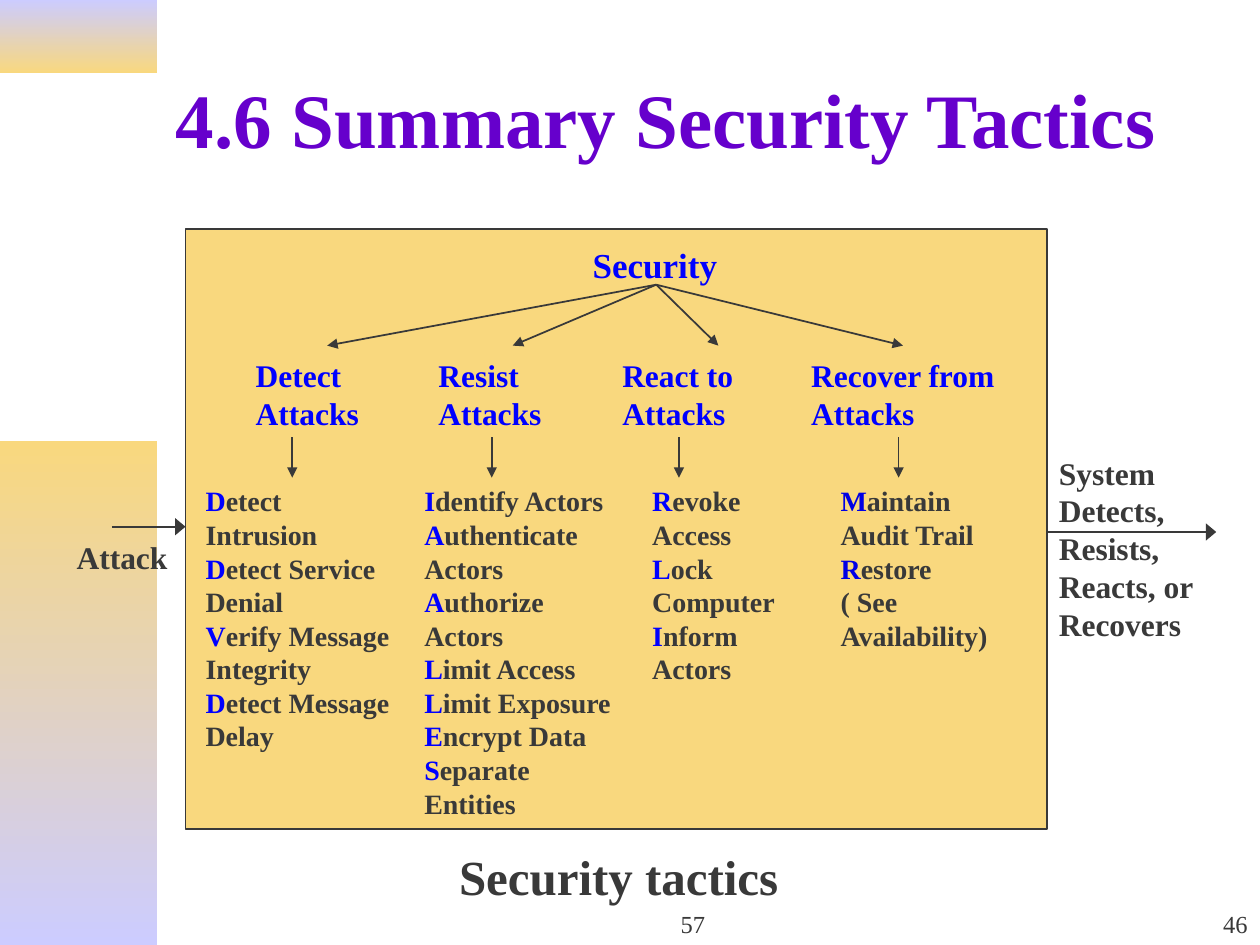
from lxml.etree import SubElement
from pptx import Presentation
from pptx.dml.color import RGBColor
from pptx.enum.shapes import MSO_CONNECTOR as Connector, MSO_SHAPE as Shape
from pptx.enum.text import MSO_ANCHOR as Anchor, PP_ALIGN as Align
from pptx.oxml.ns import qn
from pptx.util import Pt

COLORS = {
    "title": "6600CC",
    "text": "393939",
    "blue": "0000FF",
    "dark_blue": "0000E5",
    "gold": "F9D87E",
    "lavender": "CCCCFF",
}
FONT = "Times New Roman"
HEADING_TOP, TACTICS_TOP = 200, 273
SECURITY_POINT = (375, 162.7)

# heading, heading left and width, fan arrow end x, down arrow x
BRANCHES = [
    ("Detect Attacks", 139, 96, 187, 167),
    ("Resist Attacks", 243.4, 99, 293, 281),
    ("React to Attacks", 348.5, 104, 410.5, 388),
    ("Recover from Attacks", 456.5, 122, 516, 513.5),
]

# left, width, height, initial colour, tactics
TACTICS = [
    (110.4, 123, 161, "blue",
     ["Detect Intrusion", "Detect Service Denial",
      "Verify Message Integrity", "Detect Message Delay"]),
    (235.4, 127.4, 199, "blue",
     ["Identify Actors", "Authenticate Actors", "Authorize Actors",
      "Limit Access", "Limit Exposure", "Encrypt Data", "Separate Entities"]),
    (365.6, 90, 122, "blue",
     ["Revoke Access", "Lock Computer", "Inform Actors"]),
    (473.3, 100, 104, "dark_blue",
     ["Maintain Audit Trail", "Restore ( See Availability)"]),
]


def rgb(name):
    return RGBColor.from_string(COLORS[name])


def style_run(run, size, color, bold=True):
    run.font.name = FONT
    run.font.size = Pt(size)
    run.font.bold = bold
    run.font.color.rgb = rgb(color)


def add_block(slide, left, top, width, height):
    block = slide.shapes.add_shape(
        Shape.RECTANGLE, Pt(left), Pt(top), Pt(width), Pt(height))
    block.shadow.inherit = False
    return block


def add_gradient_band(slide, top, height, *stops):
    """Add a left-edge band shaded from the first colour down to the second."""
    band = add_block(slide, 0, top, 90, height)
    band.line.fill.background()
    band.fill.gradient()
    band.fill.gradient_angle = 270
    for stop, color in zip(band.fill.gradient_stops, stops):
        stop.color.rgb = rgb(color)


def add_panel(slide):
    panel = add_block(slide, 106, 131, 492.5, 343)
    panel.fill.solid()
    panel.fill.fore_color.rgb = rgb("gold")
    panel.line.color.rgb = rgb("text")
    panel.line.width = Pt(1)


def add_frame(slide, left, top, width, height, wrap=True):
    frame = slide.shapes.add_textbox(
        Pt(left), Pt(top), Pt(width), Pt(height)).text_frame
    frame.word_wrap = wrap
    return frame


def add_label(slide, text, left, top, width, height, size, color="text",
              bold=True, align=Align.LEFT, anchor=Anchor.TOP, wrap=True):
    frame = add_frame(slide, left, top, width, height, wrap)
    frame.vertical_anchor = anchor
    frame.text = text
    paragraph = frame.paragraphs[0]
    paragraph.alignment = align
    style_run(paragraph.runs[0], size, color, bold)


def add_tactics(slide, left, width, height, initial_color, tactics):
    """Add a column of tactics whose initials stand out in colour."""
    frame = add_frame(slide, left, TACTICS_TOP, width, height)
    for index, tactic in enumerate(tactics):
        paragraph = frame.add_paragraph() if index else frame.paragraphs[0]
        for part, color in ((tactic[0], initial_color), (tactic[1:], "text")):
            run = paragraph.add_run()
            run.text = part
            style_run(run, 16, color)


def add_arrow(slide, start, end, head_width="med"):
    arrow = slide.shapes.add_connector(
        Connector.STRAIGHT, *map(Pt, start), *map(Pt, end))
    arrow.line.color.rgb = rgb("text")
    arrow.line.width = Pt(1)
    SubElement(arrow.line._get_or_add_ln(), qn("a:tailEnd"),
               type="triangle", w=head_width)
    SubElement(arrow._element.spPr, qn("a:effectLst"))


def main():
    deck = Presentation()
    deck.slide_width, deck.slide_height = Pt(720), Pt(540)
    slide = deck.slides.add_slide(deck.slide_layouts[6])

    add_gradient_band(slide, 0, 42, "lavender", "gold")
    add_gradient_band(slide, 252, 288, "gold", "lavender")
    add_label(slide, "4.6 Summary Security Tactics", 93.4, 20, 612, 95, 44,
              "title", anchor=Anchor.MIDDLE)
    add_label(slide, "Security tactics", 87, 480, 533, 41, 28,
              align=Align.CENTER)

    add_panel(slide)
    add_arrow(slide, (64, 301), (106, 301), "lg")
    add_arrow(slide, (598.5, 304), (695, 304), "lg")
    add_label(slide, "Attack", 36.7, 304, 67, 29, 18, wrap=False)
    add_label(slide, "System Detects, Resists, Reacts, or Recovers",
              598, 255.6, 97, 115, 18)

    add_label(slide, "Security", 331.6, 135.4, 91, 32, 20, "blue")
    for heading, left, width, fan_x, down_x in BRANCHES:
        add_label(slide, heading, left, HEADING_TOP, width, 50, 18, "blue")
        add_arrow(slide, SECURITY_POINT, (fan_x, 197.5))
        add_arrow(slide, (down_x, 250), (down_x, TACTICS_TOP))
    for column in TACTICS:
        add_tactics(slide, *column)

    for number, left, width, align in (("57", 282, 228, Align.CENTER),
                                       ("46", 570, 150, Align.RIGHT)):
        add_label(slide, number, left, 504, width, 36, 14, bold=False,
                  align=align, anchor=Anchor.BOTTOM)

    deck.save("out.pptx")


if __name__ == "__main__":
    main()
